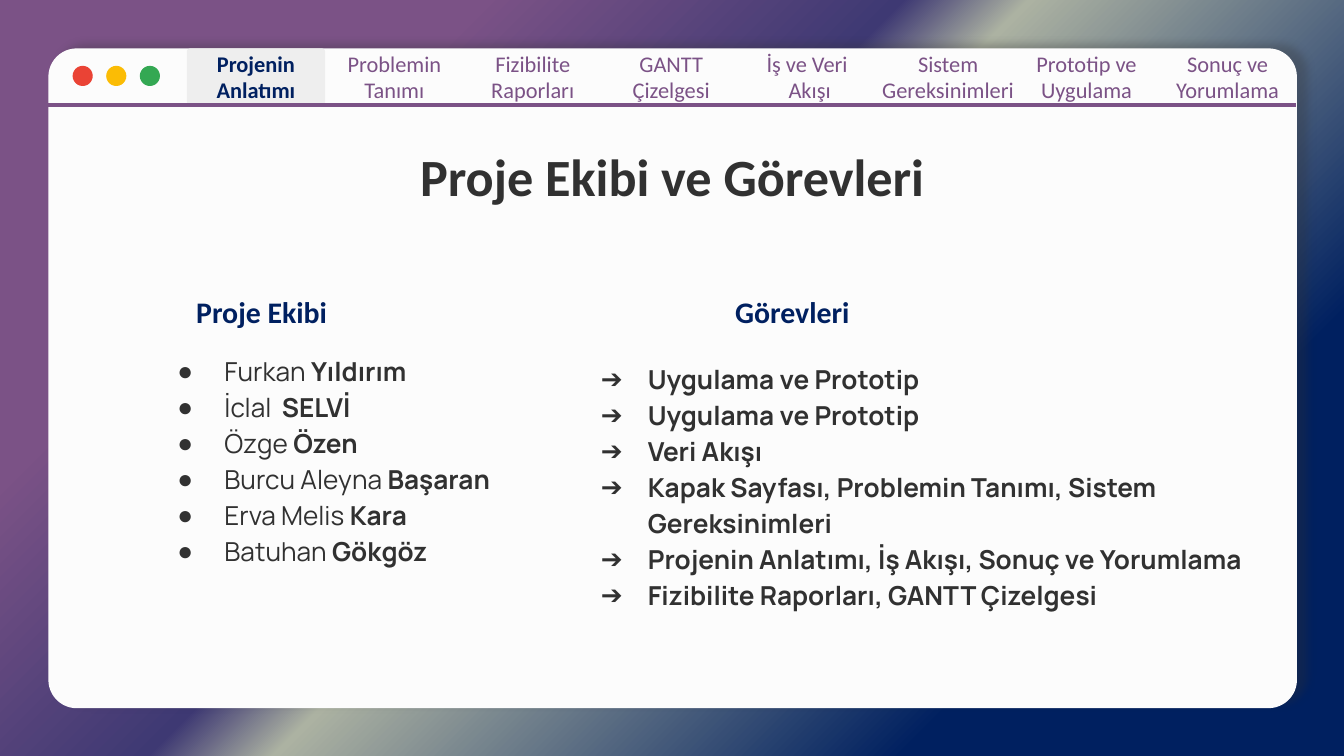
from dataclasses import dataclass

from lxml import etree
from pptx import Presentation
from pptx.dml.color import RGBColor
from pptx.enum.shapes import MSO_CONNECTOR, MSO_SHAPE
from pptx.enum.text import MSO_ANCHOR, MSO_AUTO_SIZE, PP_ALIGN
from pptx.oxml import parse_xml
from pptx.oxml.ns import nsdecls, qn
from pptx.util import Inches, Pt

ROUNDED = MSO_SHAPE.ROUNDED_RECTANGLE
ROUND_CORNER = MSO_SHAPE.ROUND_1_RECTANGLE
OVAL = MSO_SHAPE.OVAL
STRAIGHT = MSO_CONNECTOR.STRAIGHT
TOP, MIDDLE, BOTTOM = MSO_ANCHOR.TOP, MSO_ANCHOR.MIDDLE, MSO_ANCHOR.BOTTOM
LEFT, CENTER = PP_ALIGN.LEFT, PP_ALIGN.CENTER
NO_AUTOFIT = MSO_AUTO_SIZE.NONE


@dataclass(frozen=True)
class Theme:
    """Colours, fonts and type sizes of the slide."""
    navy: str = "002060"
    purple: str = "7B5286"
    ink: str = "313131"
    paper: str = "FCFCFC"
    active_tab: str = "EEEEEE"
    dots: tuple = ("EA4335", "FBBC05", "34A853")
    backdrop: tuple = ((21, "002060"), (51, "ACB2A2"), (57, "3E3973"), (77, "7B5286"))
    heading_font: str = "Calibri"
    body_font: str = "Manrope"
    title_size: int = 28
    heading_size: int = 16
    body_size: int = 14
    tab_size: int = 12


THEME = Theme()
WINDOW_LEFT, WINDOW_TOP, WINDOW_WIDTH, WINDOW_HEIGHT = 0.36, 0.36, 9.29, 4.91
TAB_LEFT, TAB_WIDTH, TAB_HEIGHT = 1.39, 1.03, 0.42

TABS = ["Projenin Anlatımı", "Problemin Tanımı", "Fizibilite Raporları",
        "GANTT Çizelgesi", "İş ve Veri \nAkışı", "Sistem Gereksinimleri",
        "Prototip ve Uygulama", "Sonuç ve Yorumlama"]
TEAM = [("Furkan ", "Yıldırım"), ("İclal  ", "SELVİ"), ("Özge ", "Özen"),
        ("Burcu Aleyna ", "Başaran"), ("Erva Melis ", "Kara"), ("Batuhan ", "Gökgöz")]
TASKS = ["Uygulama ve Prototip", "Uygulama ve Prototip", "Veri Akışı",
         "Kapak Sayfası, Problemin Tanımı, Sistem Gereksinimleri",
         "Projenin Anlatımı, İş Akışı, Sonuç ve Yorumlama",
         "Fizibilite Raporları, GANTT Çizelgesi"]


def paint_backdrop(slide):
    """Fill the background with a gradient spreading from the bottom right corner."""
    stops = "".join(f'<a:gs pos="{pos * 1000}"><a:srgbClr val="{color}"/></a:gs>'
                    for pos, color in THEME.backdrop)
    gradient = parse_xml(
        f'<a:gradFill {nsdecls("a")}><a:gsLst>{stops}</a:gsLst>'
        '<a:path path="circle"><a:fillToRect l="100000" t="100000"/></a:path></a:gradFill>')
    slide.background.fill.solid()
    solid = slide.background._cSld.find(".//" + qn("a:solidFill"))
    solid.getparent().replace(solid, gradient)


def add_panel(shapes, kind, box, color=None):
    """Add a borderless shape without shadow, filled when a colour is given."""
    panel = shapes.add_shape(kind, *map(Inches, box))
    panel.shadow.inherit = False
    panel.line.fill.background()
    if color:
        panel.fill.solid()
        panel.fill.fore_color.rgb = RGBColor.from_string(color)
    else:
        panel.fill.background()
    return panel


def style_run(run, font, size, color, bold=False):
    """Give a run its typeface, size, colour and weight."""
    run.font.name = font
    run.font.size = Pt(size)
    run.font.bold = bold
    run.font.color.rgb = RGBColor.from_string(color)


def set_frame(frame, anchor, inset):
    """Set wrapping, anchor and equal insets of a text frame."""
    frame.word_wrap = True
    frame.auto_size = NO_AUTOFIT
    frame.vertical_anchor = anchor
    frame.margin_left = frame.margin_right = Inches(inset)
    frame.margin_top = frame.margin_bottom = Inches(inset)


def add_window(slide):
    """Add the window panel with its soft shadow."""
    box = (WINDOW_LEFT, WINDOW_TOP, WINDOW_WIDTH, WINDOW_HEIGHT)
    window = add_panel(slide.shapes, ROUNDED, box, THEME.paper)
    window.adjustments[0] = 0.043
    effects = window._element.spPr.find(qn("a:effectLst"))
    effects.append(parse_xml(
        f'<a:outerShdw {nsdecls("a")} blurRad="{Pt(4.5)}" dist="{Pt(6)}" '
        f'dir="{342 * 60000}" algn="bl" rotWithShape="0"><a:srgbClr val="{THEME.ink}">'
        '<a:alpha val="30000"/></a:srgbClr></a:outerShdw>'))
    slide.shapes._spTree.insert(2, window._element)


def add_tab(slide, index, label):
    """Add one tab; the first is active and the last follows the window corner."""
    active, last = index == 0, index == len(TABS) - 1
    box = (TAB_LEFT + index * TAB_WIDTH, WINDOW_TOP, TAB_WIDTH + 0.1 * last, TAB_HEIGHT)
    tab = add_panel(slide.shapes, ROUND_CORNER if last else ROUNDED, box,
                    THEME.active_tab if active else None)
    tab.adjustments[0] = 0.5 if last else 0.06
    set_frame(tab.text_frame, MIDDLE, 0.1 if last else 0)
    tab.text_frame.text = label
    for paragraph in tab.text_frame.paragraphs:
        paragraph.alignment = CENTER
        style_run(paragraph.runs[0], THEME.heading_font, THEME.tab_size,
                  THEME.navy if active else THEME.purple, active)


def add_window_dots(slide):
    """Add the three grouped window buttons."""
    buttons = slide.shapes.add_group_shape()
    for index, color in enumerate(THEME.dots):
        add_panel(buttons.shapes, OVAL, (0.54 + 0.25 * index, 0.49, 0.15, 0.15), color)


def add_tab_rule(slide):
    """Add the line under the tabs."""
    y = Inches(WINDOW_TOP + TAB_HEIGHT)
    rule = slide.shapes.add_connector(STRAIGHT, Inches(WINDOW_LEFT), y, Inches(9.64), y)
    rule.line.color.rgb = RGBColor.from_string(THEME.purple)
    rule.line.width = Pt(2.25)
    etree.SubElement(rule._element.spPr, qn("a:effectLst"))


def place(placeholder, box, anchor):
    """Move a placeholder and return its prepared text frame."""
    placeholder.left, placeholder.top, placeholder.width, placeholder.height = map(Inches, box)
    set_frame(placeholder.text_frame, anchor, 0.1)
    return placeholder.text_frame


def fill_heading(placeholder, box, text, size, color, anchor=BOTTOM, align=LEFT, spacing=1.0):
    """Write a bold one-line heading into a placeholder."""
    frame = place(placeholder, box, anchor)
    frame.text = text
    heading = frame.paragraphs[0]
    heading.alignment = align
    heading.line_spacing = spacing
    heading.space_before = Pt(0)
    style_run(heading.runs[0], THEME.heading_font, size, color, True)


def add_bullet(paragraph, mark, indent):
    """Give a paragraph a hanging bullet."""
    properties = paragraph._p.get_or_add_pPr()
    properties.set("marL", str(Inches(indent)))
    properties.set("indent", str(Inches(-0.35)))
    color = etree.SubElement(properties, qn("a:buClr"))
    etree.SubElement(color, qn("a:srgbClr"), val=THEME.ink)
    etree.SubElement(properties, qn("a:buChar"), char=mark)


def fill_list(placeholder, box, items, mark, indent):
    """Write a bulleted list whose items are pairs of light and bold text."""
    frame = place(placeholder, box, TOP)
    for index, parts in enumerate(items):
        entry = frame.add_paragraph() if index else frame.paragraphs[0]
        add_bullet(entry, mark, indent)
        entry.line_spacing = 1.15
        entry.space_before = Pt(0)
        for text, bold in zip(parts, (False, True)):
            if text:
                run = entry.add_run()
                run.text = text
                style_run(run, THEME.body_font, THEME.body_size, THEME.ink, bold)


def main():
    """Build the project team slide."""
    deck = Presentation()
    deck.slide_width = Inches(10)
    deck.slide_height = deck.slide_width * 9 // 16
    slide = deck.slides.add_slide(deck.slide_layouts.get_by_name("Comparison"))
    title, team_heading, team_list, task_heading, task_list = slide.placeholders

    paint_backdrop(slide)
    add_window(slide)
    for index, label in enumerate(TABS):
        add_tab(slide, index, label)
    add_window_dots(slide)
    add_tab_rule(slide)

    fill_heading(title, (0.78, 1.06, 8.44, 0.65), "Proje Ekibi ve Görevleri",
                 THEME.title_size, THEME.ink, TOP, CENTER, 0.8)
    for heading, left, text in ((team_heading, 1.36, "Proje Ekibi"),
                                (task_heading, 5.37, "Görevleri")):
        fill_heading(heading, (left, 2.12, 3.27, 0.43), text, THEME.heading_size, THEME.navy)
    fill_list(team_list, (1.22, 2.51, 3.27, 2.03), TEAM, "●", 0.35)
    fill_list(task_list, (4.22, 2.57, 5.26, 2.28), [("", task) for task in TASKS], "➔", 0.5)
    deck.save("out.pptx")


if __name__ == "__main__":
    main()
